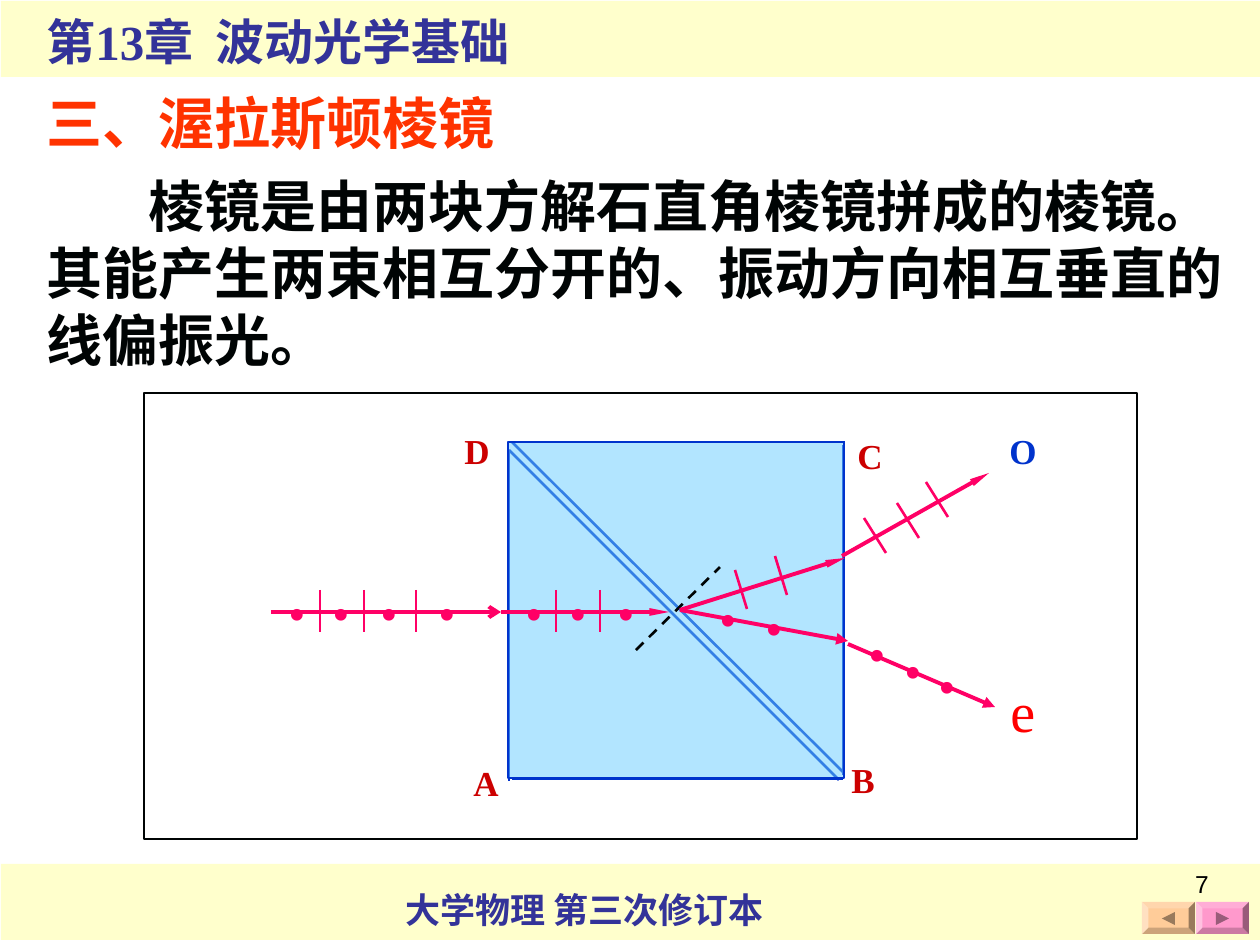
from dataclasses import dataclass

from lxml import etree
from pptx import Presentation, util as u
from pptx.dml.color import RGBColor
from pptx.enum import dml, shapes, text
from pptx.oxml.ns import qn

PX = 914400 / 126


@dataclass(frozen=True)
class Theme:
    """Colours, fonts and type sizes of the slide."""
    band: str = "FFFFCC"
    navy: str = "333399"
    black: str = "000404"
    white: str = "FFFFFF"
    blue: str = "0033CC"
    glass: str = "66CCFF"
    ray: str = "FF0066"
    letter: str = "CC0000"
    red: str = "FF0000"
    heading: str = "FF3300"
    serif: str = "Times New Roman"
    sans: str = "Arial"
    large: int = 32
    medium: int = 28
    small: int = 20
    tiny: int = 14


T = Theme()


def px(*values):
    """Turn pixel lengths into EMU."""
    return [u.Emu(round(v * PX)) for v in values]


def rgb(code):
    """Return the colour of a hex code."""
    return RGBColor.from_string(code)


def style(p, size, color, font=T.serif, bold=True, align=text.PP_ALIGN.LEFT):
    """Format a whole paragraph."""
    p.font.size, p.font.name, p.font.bold = u.Pt(size), font, bold
    p.font.color.rgb = rgb(color)
    p.alignment = align


def add_box(s, at, fill, line=None, width=0.75, kind=shapes.MSO_SHAPE.RECTANGLE, alpha=None):
    """Add a filled preset shape, optionally outlined or translucent."""
    sp = s.shapes.add_shape(kind, *px(*at))
    sp.shadow.inherit = False
    sp.fill.solid()
    sp.fill.fore_color.rgb = rgb(fill)
    if alpha:
        clr = sp.fill._xPr.find(qn("a:solidFill"))[0]
        etree.SubElement(clr, qn("a:alpha"), val=str(alpha * 1000))
    if line:
        sp.line.color.rgb, sp.line.width = rgb(line), u.Pt(width)
    else:
        sp.line.fill.background()
    return sp


def add_label(s, at, words, size, color, **kw):
    """Add a one-line text box that does not wrap."""
    tf = s.shapes.add_textbox(*px(*at)).text_frame
    tf.word_wrap = False
    tf.auto_size = text.MSO_AUTO_SIZE.SHAPE_TO_FIT_TEXT
    tf.text = words
    style(tf.paragraphs[0], size, color, **kw)


def add_line(s, ends, color, width=1.5, head=None, dashed=False):
    """Add a straight line; head holds type, width and length of its arrowhead."""
    c = s.shapes.add_connector(shapes.MSO_CONNECTOR.STRAIGHT, *px(*ends))
    c.line.color.rgb, c.line.width = rgb(color), u.Pt(width)
    if dashed:
        c.line.dash_style = dml.MSO_LINE.DASH
    if head:
        ln = c.line._get_or_add_ln()
        etree.SubElement(ln, qn("a:tailEnd"), type=head[0], w=head[1], len=head[2])
    etree.SubElement(c._element.spPr, qn("a:effectLst"))


def add_button(s, left, fill, dark, rotation):
    """Add a bevelled navigation button with a triangle."""
    bevel = add_box(s, (left, 902, 53, 32), fill, kind=shapes.MSO_SHAPE.BEVEL)
    bevel.adjustments[0] = 0.2
    arrow = add_box(s, (left + 20, 912, 13, 13), dark, kind=shapes.MSO_SHAPE.ISOSCELES_TRIANGLE)
    arrow.rotation = rotation


def add_frame(s):
    """Add the bands, running texts, page number and buttons."""
    for top in (864, 1):
        add_box(s, (1, top, 1259, 76), T.band)
    add_label(s, (393, 882, 393, 55), "大学物理 第三次修订本", T.small, T.navy)
    add_label(s, (34, 5, 562, 72), "第13章  波动光学基础", T.medium, T.navy)
    add_button(s, 1196, "FF99CC", "995C7A", 90)
    add_button(s, 1142, "FFCC99", "997A5C", 270)
    tf = s.shapes.add_textbox(*px(927, 863, 294, 66)).text_frame
    tf.word_wrap = True
    tf.text = "7"
    style(tf.paragraphs[0], T.tiny, "000000", T.sans, False, text.PP_ALIGN.RIGHT)


def add_title(s, words):
    """Place and format the title."""
    sp = s.shapes.title
    sp.left, sp.top, sp.width, sp.height = px(34, 86, 566, 73)
    tf = sp.text_frame
    tf.text = words
    tf.word_wrap, tf.auto_size = True, text.MSO_AUTO_SIZE.NONE
    tf.vertical_anchor = text.MSO_ANCHOR.MIDDLE
    style(tf.paragraphs[0], T.large, T.heading, T.sans)


def add_body(s, lines):
    """Add the description, its first line indented."""
    tf = s.shapes.add_textbox(*px(34, 165, 1226, 214)).text_frame
    tf.word_wrap = True
    tf.text = "\n".join(lines)
    for p in tf.paragraphs:
        style(p, T.large, T.black)
    tf.paragraphs[0]._p.get_or_add_pPr().set("indent", str(px(102)[0]))


def add_prism(s):
    """Add the two joined prisms with their corner letters and optic axis."""
    add_box(s, (144, 393, 993, 446), T.white, T.black)
    lower = [(512, 779, 843, 779), (509, 781, 509, 450), (509, 450, 839, 780)]
    upper = [(845, 442, 514, 442), (843, 445, 843, 775), (512, 442, 843, 772)]
    for ends in lower + upper:
        add_line(s, ends, T.blue)
    add_box(s, (508, 442, 336, 336), T.glass, T.blue, 1.5, alpha=50)
    for words, left, top in (("A", 461, 755), ("B", 839, 752), ("D", 452, 423), ("C", 845, 428)):
        add_label(s, (left, top, 50, 55), words, T.small, T.letter)
    add_line(s, (636, 650, 720, 567), T.black, dashed=True)


def add_rays(s):
    """Add the rays with their dots and strokes of polarisation."""
    slim, full, open_head = ("triangle", "sm", "lg"), ("triangle", "med", "med"), ("arrow", "med", "med")
    rays = [
        ((271, 612, 501, 612), open_head), ((501, 612, 669, 612), slim),
        ((680, 610, 845, 558), slim), ((842, 556, 989, 473), slim),
        ((680, 610, 848, 641), full), ((848, 644, 995, 707), full),
    ]
    for ends, head in rays:
        add_line(s, ends, T.ray, 2.25, head)
    strokes = [(x, 590, 0, 42) for x in (320, 364, 416, 556, 600)]
    strokes += [(735, 570, 12, 39), (775, 556, 12, 39)]
    strokes += [(864, 518, 22, 35), (897, 503, 22, 35), (926, 482, 22, 35)]
    for x, y, dx, dy in strokes:
        add_line(s, (x, y, x + dx, y + dy), T.ray)
    dots = [(x, 576) for x in (276, 320, 368, 426, 513, 557, 605)]
    dots += [(707, 582), (753, 591), (856, 617), (892, 634), (926, 649)]
    for x, y in dots:
        add_label(s, (x, y, 42, 72), "•", T.medium, T.ray, bold=False)
    add_label(s, (997, 423, 52, 55), "O", T.small, T.blue)
    add_label(s, (998, 670, 50, 81), "e", T.large, T.red, bold=False)


def main():
    """Build and save the slide."""
    prs = Presentation()
    prs.slide_width, prs.slide_height = px(1260, 945)
    s = prs.slides.add_slide(prs.slide_layouts[5])
    add_frame(s)
    add_title(s, "三、渥拉斯顿棱镜")
    add_body(s, ["棱镜是由两块方解石直角棱镜拼成的棱镜。",
                 "其能产生两束相互分开的、振动方向相互垂直的线偏振光。"])
    add_prism(s)
    add_rays(s)
    prs.save("out.pptx")


if __name__ == "__main__":
    main()
